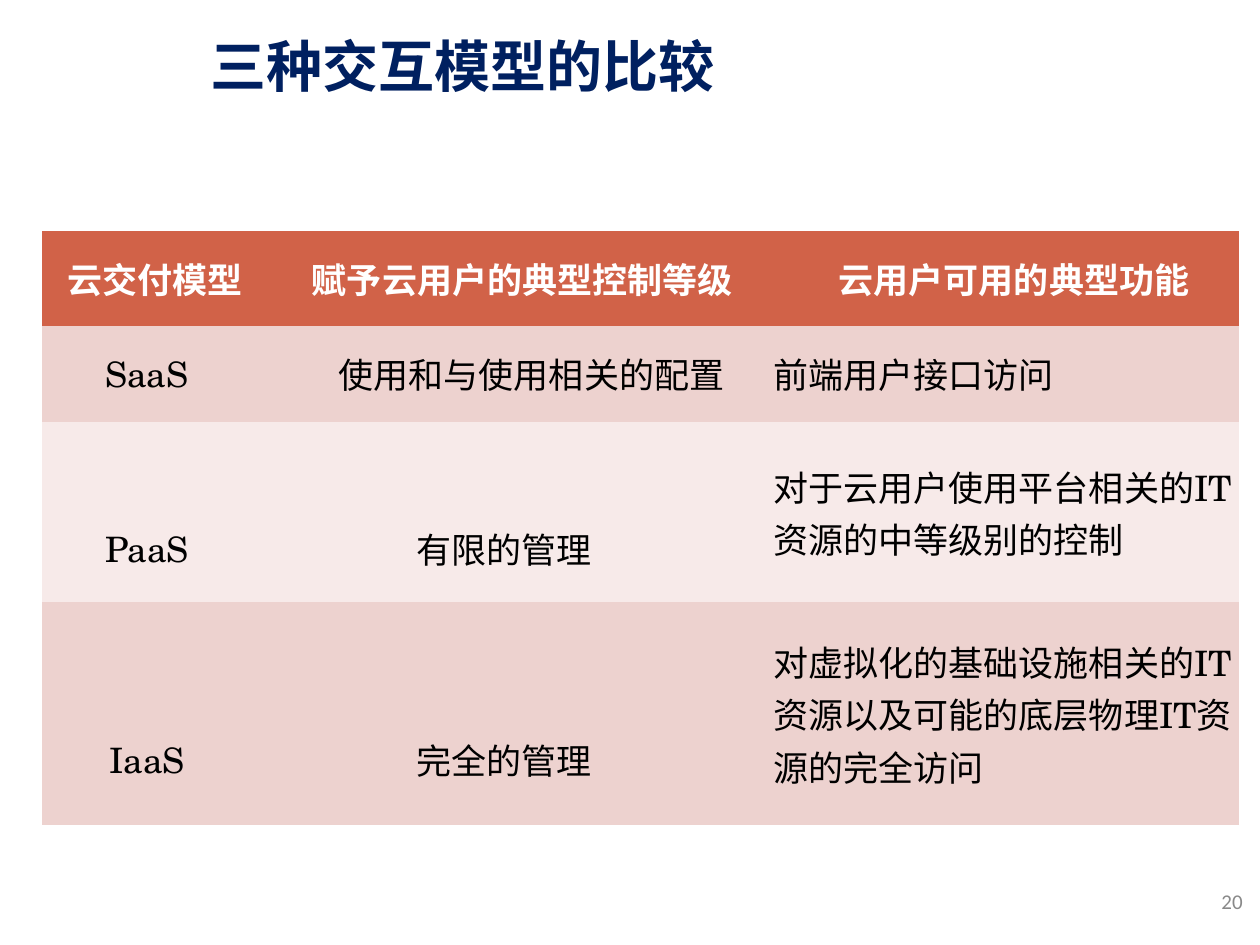
from lxml import etree
from pptx import Presentation
from pptx.dml.color import RGBColor
from pptx.enum.text import MSO_ANCHOR, PP_ALIGN
from pptx.oxml.ns import qn
from pptx.util import Pt

LEFT, MID, RIGHT = PP_ALIGN.LEFT, PP_ALIGN.CENTER, PP_ALIGN.RIGHT
MIDDLE = MSO_ANCHOR.MIDDLE
HAN = "Noto Sans CJK SC"
SERIF = "TeX Gyre Schola"

COLS = [120, 288, 276]
ROWS = [54, 55, 103, 127.5]
FILLS = ["D16248", "EDD2CF", "F7EAE9", "EDD2CF"]
# Each cell: text, left margin, top margin
CELLS = [
    [("云交付模型", 9, 0), ("赋予云用户的典型控制等级", 21, 0),
     ("云用户可用的典型功能", 19, 0)],
    [("SaaS", 0, 0), ("使用和与使用相关的配置", 31.5, 0),
     ("前端用户接口访问", 10, 0)],
    [("PaaS", 0, 42), ("有限的管理", 0, 42),
     ("对于云用户使用平台相关的IT资源的中等级别的控制", 10, 0)],
    [("IaaS", 0, 52), ("完全的管理", 0, 52),
     ("对虚拟化的基础设施相关的IT资源以及可能的底层物理IT资源的完全访问", 10, 0)],
]


def color(code):
    return RGBColor.from_string(code)


def write(frame, text, size, name, code, bold=False, align=LEFT):
    para = frame.paragraphs[0]
    para.text = text
    para.alignment = align
    font = para.font
    font.size, font.name, font.bold = Pt(size), name, bold
    font.color.rgb = color(code)
    # Chinese glyphs take their own typeface
    props = para._p.pPr.find(qn("a:defRPr"))
    etree.SubElement(props, qn("a:ea"), typeface=HAN)


def add_label(slide, box, text, size, name, code, bold=False, align=LEFT,
              anchor=MSO_ANCHOR.TOP):
    frame = slide.shapes.add_textbox(*(Pt(v) for v in box)).text_frame
    frame.word_wrap = True
    frame.vertical_anchor = anchor
    write(frame, text, size, name, code, bold, align)


def add_grid(slide, left, top):
    table = slide.shapes.add_table(
        len(ROWS), len(COLS), Pt(left), Pt(top),
        Pt(sum(COLS)), Pt(sum(ROWS))).table
    for col, width in zip(table.columns, COLS):
        col.width = Pt(width)
    # Remove the style's cell borders
    style = table._tbl.tblPr.find(qn("a:tableStyleId"))
    style.text = "{2D5ABB26-0587-4C30-8999-92F81FD0307C}"
    for r, (height, fill, line) in enumerate(zip(ROWS, FILLS, CELLS)):
        table.rows[r].height = Pt(height)
        head = r == 0
        for c, (text, inset, drop) in enumerate(line):
            cell = table.cell(r, c)
            cell.fill.solid()
            cell.fill.fore_color.rgb = color(fill)
            cell.vertical_anchor = MIDDLE
            cell.margin_left, cell.margin_top = Pt(inset), Pt(drop)
            cell.margin_right = cell.margin_bottom = Pt(0)
            write(cell.text_frame, text, 20, SERIF,
                  "FFFFFF" if head else "000000", head,
                  MID if head or c < 2 else LEFT)


def main():
    deck = Presentation()
    deck.slide_width, deck.slide_height = Pt(720), Pt(540)
    slide = deck.slides.add_slide(deck.slide_layouts[6])
    # Title
    add_label(slide, (113, 14.4, 525.6, 46), "三种交互模型的比较",
              32, HAN, "002060", bold=True)
    # Page number
    add_label(slide, (549.4, 500.4, 167.8, 28.8), "20",
              12, "Calibri", "898989", align=RIGHT, anchor=MIDDLE)
    # Comparison table
    add_grid(slide, 24, 132)
    deck.save("out.pptx")


if __name__ == "__main__":
    main()
